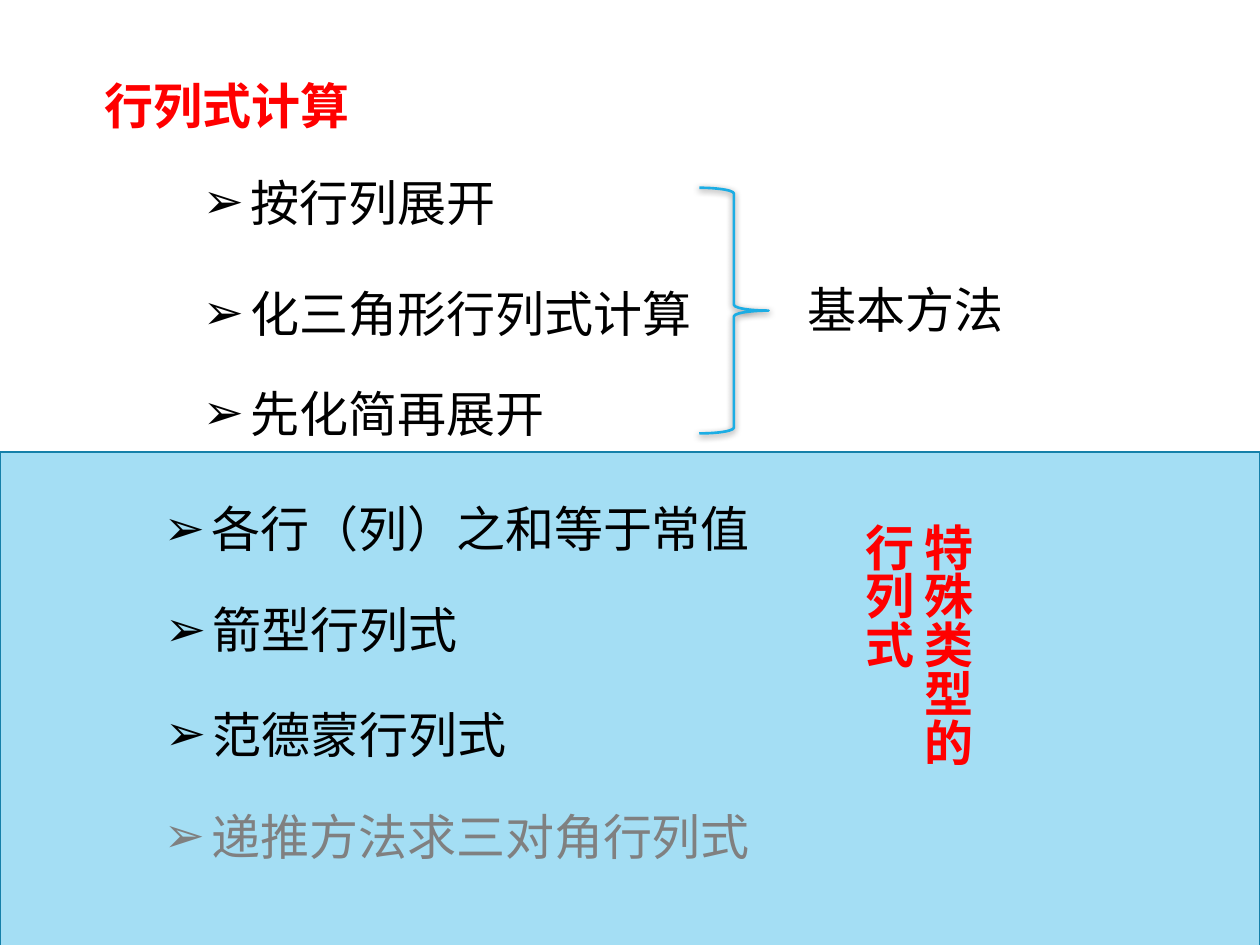
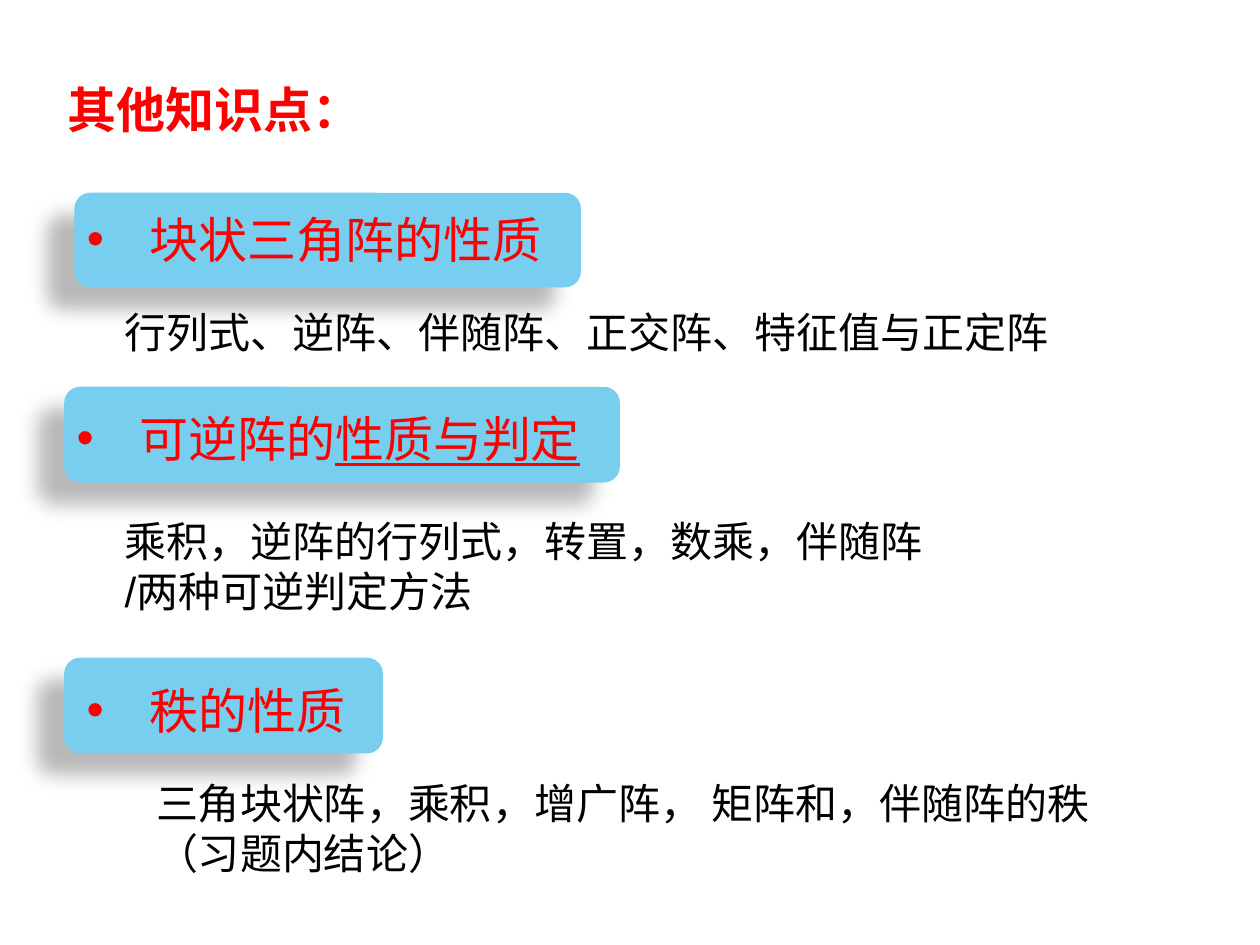
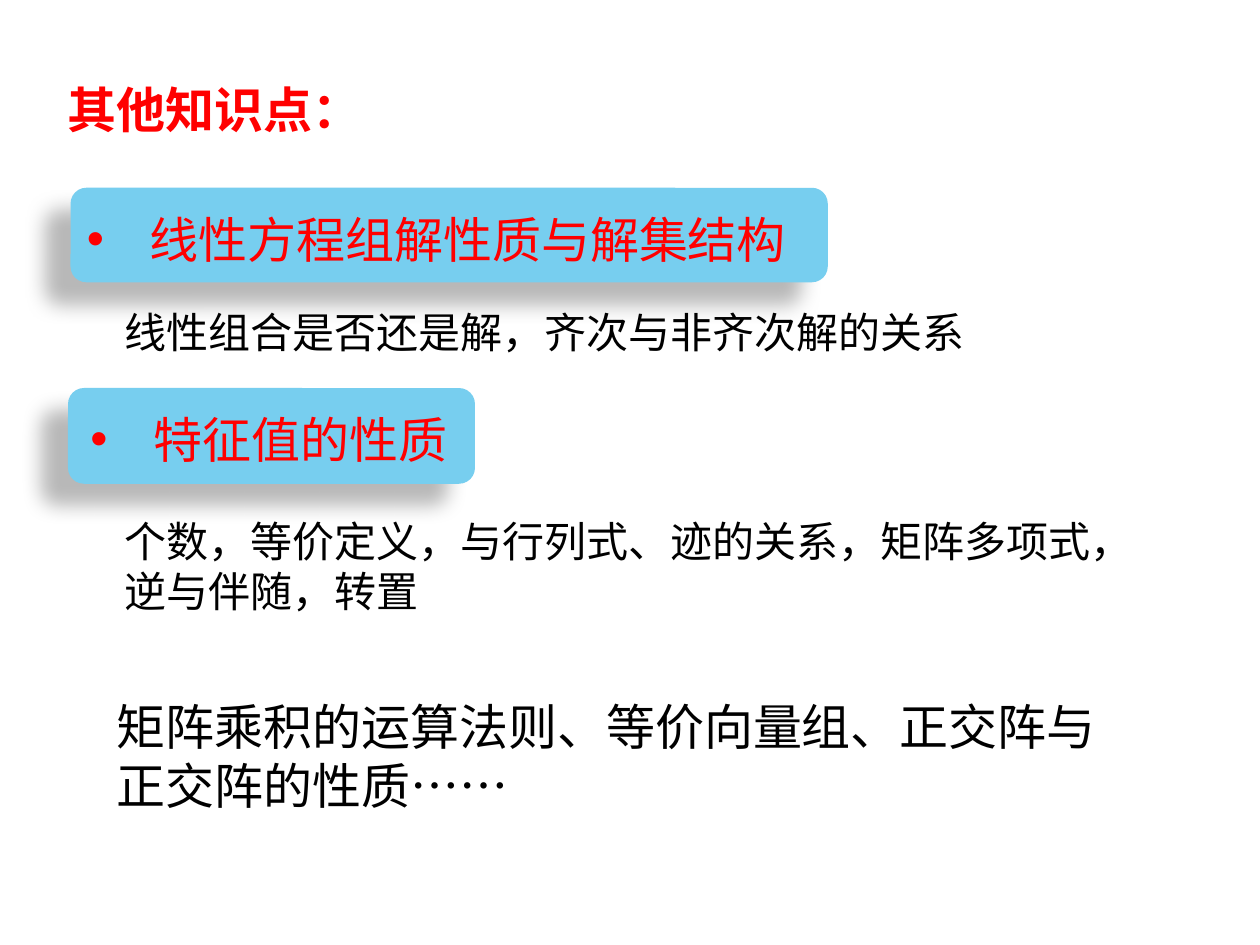
"""Build three review slides on determinants and matrices."""
from pptx import Presentation
from pptx.dml.color import RGBColor
from pptx.enum.shapes import MSO_SHAPE
from pptx.enum.text import MSO_AUTO_SIZE, MSO_ANCHOR
from pptx.oxml import parse_xml
from pptx.oxml.ns import nsdecls, qn
from pptx.util import Inches, Pt

RED, BLACK, GREY = "FF0000", "000000", "808080"
PANEL, PANEL_EDGE, BRACE, LABEL = "A4DEF4", "1580A9", "1CADE4", "77CEEF"
TITLE = {"size": Pt(28), "bold": True}
HEADING = {"size": Pt(28)}
DETAIL = {"size": Pt(24)}
LABEL_SHADOW = (28, 11.8, 19.7, 141)
BRACE_SHADOW = (50, 4, 1, 90)


def add_text(shapes, place, paragraphs, style, color=BLACK, bullet=None, indent=0.5, inset=None, wrap=True):
    """Add a text box; each paragraph is a list of plain and underlined parts."""
    box = shapes.add_textbox(*map(Inches, place))
    frame = box.text_frame
    frame.word_wrap = wrap
    frame.auto_size = MSO_AUTO_SIZE.SHAPE_TO_FIT_TEXT
    frame.vertical_anchor = MSO_ANCHOR.TOP
    if inset is not None:
        for side in ("left", "top", "right", "bottom"):
            setattr(frame, f"margin_{side}", Inches(inset))
    for index, parts in enumerate(paragraphs):
        para = frame.add_paragraph() if index else frame.paragraphs[0]
        if bullet:
            properties = para._p.get_or_add_pPr()
            properties.set("marL", str(Inches(indent)))
            properties.set("indent", str(-Inches(indent)))
            properties.append(parse_xml(f'<a:buFont {nsdecls("a")} typeface="Arial"/>'))
            properties.append(parse_xml(f'<a:buChar {nsdecls("a")} char="{bullet}"/>'))
        for position, part in enumerate(parts):
            span = para.add_run()
            span.text = part
            span.font.color.rgb = RGBColor.from_string(color)
            for name, value in {"name": "Arial", "underline": position > 0, **style}.items():
                setattr(span.font, name, value)
    return box


def add_figure(shapes, kind, place, fill=None, line=None, width=1, shadow=None):
    """Add a preset shape; shadow holds opacity, blur, distance and angle."""
    figure = shapes.add_shape(kind, *map(Inches, place))
    figure.shadow.inherit = False
    if fill:
        figure.fill.solid()
        figure.fill.fore_color.rgb = RGBColor.from_string(fill)
    else:
        figure.fill.background()
    if line:
        figure.line.color.rgb = RGBColor.from_string(line)
        figure.line.width = Pt(width)
    else:
        figure.line.fill.background()
    if shadow:
        opacity, blur, distance, angle = shadow
        figure.element.spPr.find(qn("a:effectLst")).append(parse_xml(
            f'<a:outerShdw {nsdecls("a")} blurRad="{Pt(blur)}" dist="{Pt(distance)}" '
            f'dir="{angle * 60000}" rotWithShape="0"><a:srgbClr val="{BLACK}">'
            f'<a:alpha val="{opacity * 1000}"/></a:srgbClr></a:outerShdw>'))


deck = Presentation()
deck.slide_width, deck.slide_height = Inches(10), Inches(7.5)
blank = deck.slide_layouts[6]

page = deck.slides.add_slide(blank)
add_figure(page.shapes, MSO_SHAPE.RECTANGLE, (0, 3.59, 10, 3.94), PANEL, PANEL_EDGE, 1.25)
add_text(page.shapes, (0.83, 0.6, 1.96, 0.47), [["行列式计算"]], TITLE, RED, inset=0, wrap=False)
methods = [
    (1.61, 1.37, 2.36, "按行列展开", BLACK),
    (1.61, 2.25, 4.09, "化三角形行列式计算", BLACK),
    (1.61, 3.04, 4.09, "先化简再展开", BLACK),
    (1.3, 3.96, 5.9, "各行（列）之和等于常值", BLACK),
    (1.31, 4.76, 4.09, "箭型行列式", BLACK),
    (1.31, 5.59, 4.09, "范德蒙行列式", BLACK),
    (1.3, 6.4, 5.04, "递推方法求三对角行列式", GREY),
]
for left, top, width, method, color in methods:
    add_text(page.shapes, (left, top, width, 0.47), [[method]], HEADING, color, "➢", 0.38, 0)
add_figure(page.shapes, MSO_SHAPE.RIGHT_BRACE, (5.55, 1.49, 0.55, 1.95), None, BRACE, 1.5, BRACE_SHADOW)
add_text(page.shapes, (6.41, 2.22, 2.52, 0.47), [["基本方法"]], HEADING, inset=0)
special = add_text(page.shapes, (6.81, 4.15, 0.94, 2.25), [["特殊类型的行列式"]], TITLE, RED, inset=0)
special.element.find(".//" + qn("a:bodyPr")).set("vert", "eaVert")

topic_pages = [
    [
        ((0.59, 1.53, 4.02, 0.75), (0.59, 1.61, 3.85, 0.57), ["块状三角阵的性质"],
         (0.89, 2.38, 7.61, 0.5), [["行列式、逆阵、伴随阵、正交阵、特征值与正定阵"]]),
        ((0.51, 3.07, 4.41, 0.76), (0.51, 3.19, 4.24, 0.57), ["可逆阵的", "性质与判定"],
         (0.89, 4.04, 8.43, 0.91), [["乘积，逆阵的行列式，转置，数乘，伴随阵"], ["/两种可逆判定方法"]]),
        ((0.51, 5.22, 2.53, 0.76), (0.59, 5.35, 2.94, 0.57), ["秩的性质"],
         (1.14, 6.12, 7.87, 0.91), [["三角块状阵，乘积，增广阵， 矩阵和，伴随阵的秩（习题内结论）"]]),
    ],
    [
        ((0.56, 1.49, 6.01, 0.75), (0.59, 1.61, 5.81, 0.57), ["线性方程组解性质与解集结构"],
         (0.89, 2.38, 6.93, 0.5), [["线性组合是否还是解，齐次与非齐次解的关系"]]),
        ((0.54, 3.08, 3.23, 0.76), (0.62, 3.2, 3.06, 0.57), ["特征值的性质"],
         (0.89, 4.04, 8.43, 0.91), [["个数，等价定义，与行列式、迹的关系，矩阵多项式，逆与伴随，转置"]]),
    ],
]
for topics in topic_pages:
    page = deck.slides.add_slide(blank)
    add_text(page.shapes, (0.44, 0.58, 2.56, 0.57), [["其他知识点："]], TITLE, RED, wrap=False)
    for label_place, heading_place, heading, detail_place, details in topics:
        group = page.shapes.add_group_shape()
        add_figure(group.shapes, MSO_SHAPE.ROUNDED_RECTANGLE, label_place, LABEL, shadow=LABEL_SHADOW)
        add_text(group.shapes, heading_place, [heading], HEADING, RED, "•", wrap=False)
        add_text(group.shapes, detail_place, details, DETAIL, wrap=detail_place[3] > 0.5)

add_text(page.shapes, (0.83, 5.48, 8.09, 1.04),
         [["矩阵乘积的运算法则、等价向量组、正交阵与正交阵的性质……"]], HEADING)

deck.save("out.pptx")
